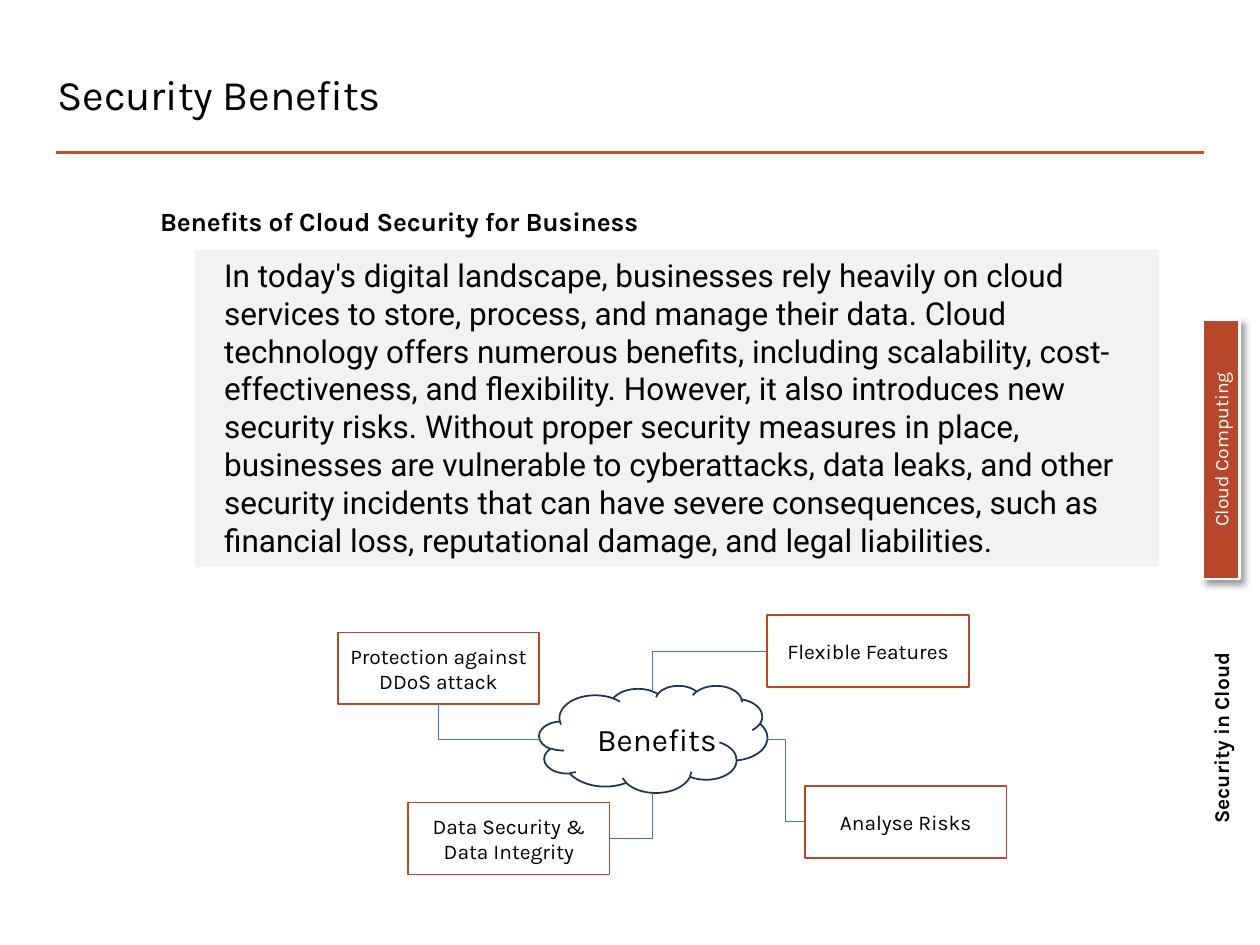
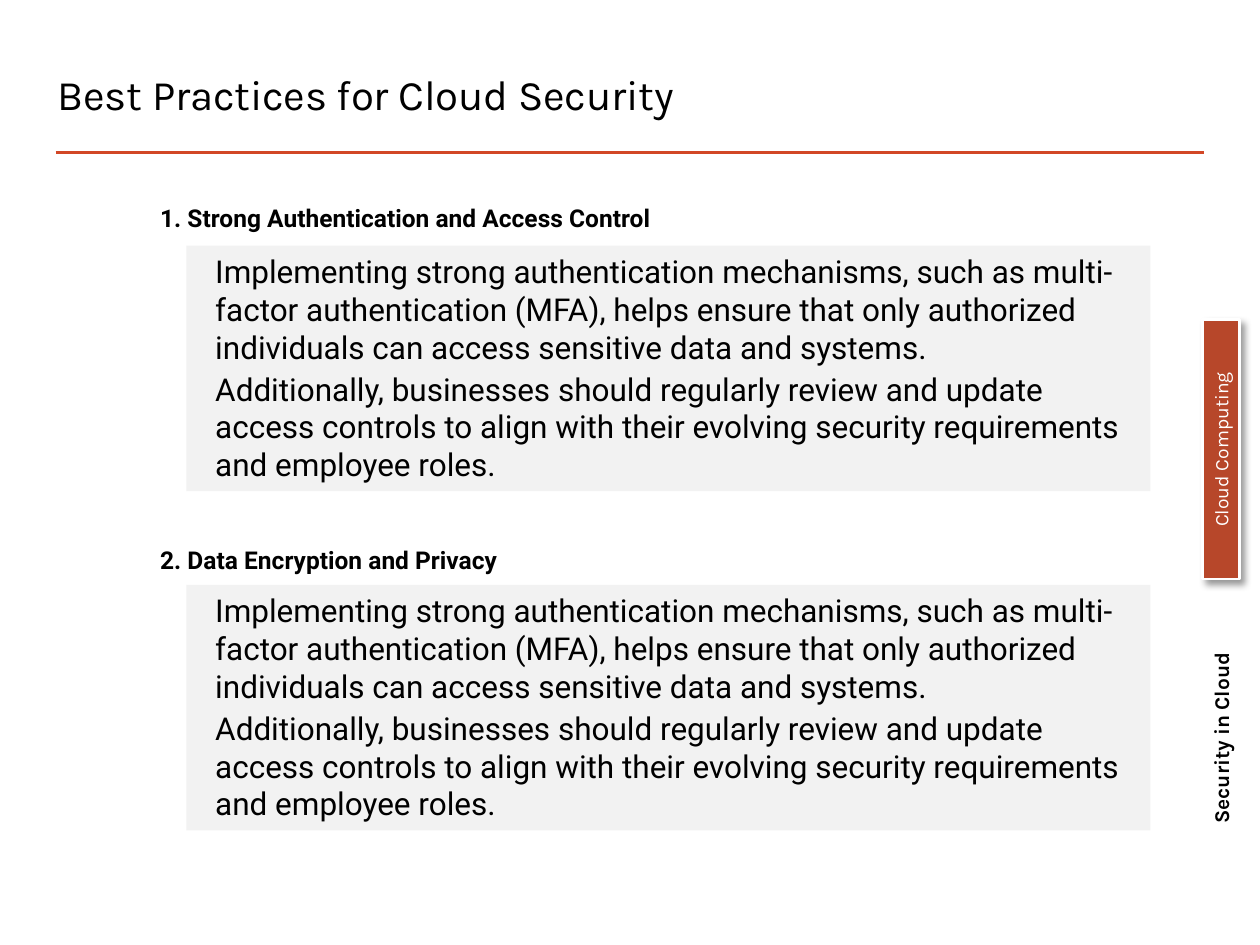
from lxml import etree
from pptx import Presentation
from pptx.dml.color import RGBColor
from pptx.enum.shapes import MSO_CONNECTOR as CONN, MSO_SHAPE as SHAPE
from pptx.enum.text import MSO_ANCHOR as ANCHOR, PP_ALIGN as ALIGN
from pptx.oxml import parse_xml
from pptx.oxml.ns import nsdecls, qn
from pptx.util import Cm, Pt

BLACK, WHITE, PANEL = "000000", "FFFFFF", "F2F2F2"
RULE, BRICK, NAVY, BLUE = "D24726", "B7472A", "1E3256", "4472C4"
HEADING_FONT, BODY_FONT = "Karla", "Roboto"

RISKS = (
    "In today's digital landscape, businesses rely heavily on cloud services to store, "
    "process, and manage their data. Cloud technology offers numerous benefits, including "
    "scalability, cost-effectiveness, and flexibility. However, it also introduces new "
    "security risks. Without proper security measures in place, businesses are vulnerable "
    "to cyberattacks, data leaks, and other security incidents that can have severe "
    "consequences, such as financial loss, reputational damage, and legal liabilities."
)
ACCESS = (
    "Implementing strong authentication mechanisms, such as multi-factor authentication "
    "(MFA), helps ensure that only authorized individuals can access sensitive data and "
    "systems.",
    "Additionally, businesses should regularly review and update access controls to align "
    "with their evolving security requirements and employee roles.",
)


def rgb(color):
    return RGBColor.from_string(color)


def write(sp, *texts, size=18, font=HEADING_FONT, color=BLACK, bold=False,
          align=ALIGN.LEFT, anchor=ANCHOR.TOP, before=0, after=0, leading=None,
          indent=0, tracking=0, inset=(0.25, 0.13)):
    tf = sp.text_frame
    tf.word_wrap = True
    tf.vertical_anchor = anchor
    tf.margin_left = tf.margin_right = Cm(inset[0])
    tf.margin_top = tf.margin_bottom = Cm(inset[1])
    for i, text in enumerate(texts):
        p = tf.add_paragraph() if i else tf.paragraphs[0]
        p.alignment = align
        p.space_before, p.space_after = Pt(before), Pt(after)
        if leading:
            p.line_spacing = Pt(leading)
        if indent:
            p._p.get_or_add_pPr().set("marL", str(Cm(indent)))
        r = p.add_run()
        r.text = text
        r.font.name, r.font.size, r.font.bold = font, Pt(size), bold
        r.font.color.rgb = rgb(color)
        if tracking:
            r._r.get_or_add_rPr().set("spc", str(round(tracking * 100)))


def add_text(s, x, y, w, h, text, **fmt):
    sp = s.shapes.add_textbox(Cm(x), Cm(y), Cm(w), Cm(h))
    write(sp, text, **fmt)
    return sp


def add_box(s, x, y, w, h, fill=None, line=None, weight=1, kind=SHAPE.RECTANGLE):
    sp = s.shapes.add_shape(kind, Cm(x), Cm(y), Cm(w), Cm(h))
    sp.shadow.inherit = False
    if fill:
        sp.fill.solid()
        sp.fill.fore_color.rgb = rgb(fill)
    else:
        sp.fill.background()
    if line:
        sp.line.color.rgb = rgb(line)
        sp.line.width = Pt(weight)
    else:
        sp.line.fill.background()
    return sp


def add_line(s, start, end, color, weight, kind=CONN.STRAIGHT, preset=None):
    c = s.shapes.add_connector(kind, *(Cm(v) for v in start + end))
    c.line.color.rgb = rgb(color)
    c.line.width = Pt(weight)
    props = c._element.spPr
    if preset:
        props.find(qn("a:prstGeom")).set("prst", preset)
    etree.SubElement(props, qn("a:effectLst"))


def add_shadow(sp):
    props = sp._element.spPr
    props.remove(props.find(qn("a:effectLst")))
    props.append(parse_xml(
        f'<a:effectLst {nsdecls("a")}><a:outerShdw blurRad="{Pt(4)}" dist="{Pt(3)}" '
        f'dir="2700000" algn="tl" rotWithShape="0"><a:srgbClr val="{BLACK}">'
        '<a:alpha val="40000"/></a:srgbClr></a:outerShdw></a:effectLst>'))


def add_heading(s, y, text, **fmt):
    add_text(s, 3.05, y, 11.56, 1.02, text, bold=True, before=10, after=15,
             leading=18, inset=(0.18, 0.1), **fmt)


def add_panel(s, x, y, h, *texts):
    sp = add_box(s, x, y, 19.43, h, fill=PANEL)
    write(sp, *texts, font=BODY_FONT, before=2.4, indent=0.33)


def add_benefit(s, x, y, text):
    sp = add_box(s, x, y, 4.06, 1.45, fill=WHITE, line=BRICK)
    write(sp, text, size=12, align=ALIGN.CENTER, anchor=ANCHOR.MIDDLE)


def add_side_labels(s):
    topic = add_text(s, 20.4, 12.27, 8.41, 0.76, "Security in Cloud", size=12, bold=True)
    course = add_box(s, 22, 8.69, 5.23, 0.74, fill=BRICK, line=WHITE, weight=1.5)
    write(course, "Cloud Computing", size=11, color=WHITE, align=ALIGN.CENTER)
    add_shadow(course)
    topic.rotation = course.rotation = 270


def new_slide(prs, title):
    s = prs.slides.add_slide(prs.slide_layouts[6])
    add_line(s, (1.12, 3.07), (24.28, 3.07), RULE, 2)
    add_text(s, 0.91, 1.19, 14.58, 1.78, title, size=24, tracking=-0.1, inset=(0.25, 0.2))
    add_side_labels(s)
    return s


def add_benefits_map(s):
    add_box(s, 10.87, 13.82, 4.6, 2.16, line=NAVY, kind=SHAPE.CLOUD)
    add_text(s, 11.79, 14.38, 3.63, 1.02, "Benefits")
    for x, y, text in (
        (6.81, 12.75, "Protection against DDoS attack"),
        (8.23, 16.18, "Data Security & Data Integrity"),
        (15.47, 12.4, "Flexible Features"),
        (16.23, 15.85, "Analyse Risks"),
    ):
        add_benefit(s, x, y, text)
    for start, end, preset in (
        ((15.47, 13.13), (13.16, 13.97), "bentConnector2"),
        ((10.9, 14.91), (8.84, 14.2), "bentConnector2"),
        ((12.29, 16.91), (13.16, 16), "bentConnector2"),
        ((15.44, 14.91), (16.23, 16.57), "bentConnector3"),
    ):
        add_line(s, start, end, BLUE, 0.5, CONN.ELBOW, preset)


def main():
    prs = Presentation()
    prs.slide_width, prs.slide_height = Cm(25.4), Cm(19.05)

    s = new_slide(prs, "Security Benefits")
    add_heading(s, 4.04, "Benefits of Cloud Security for Business", size=15, tracking=-0.1)
    add_panel(s, 3.94, 5.03, 6.4, RISKS)
    add_benefits_map(s)

    s = new_slide(prs, "Best Practices for Cloud Security")
    for heading_y, panel_y, heading in (
        (3.96, 4.95, "1. Strong Authentication and Access Control"),
        (10.85, 11.79, "2. Data Encryption and Privacy"),
    ):
        add_heading(s, heading_y, heading, size=14, font=BODY_FONT)
        add_panel(s, 3.76, panel_y, 4.95, *ACCESS)

    prs.save("out.pptx")


if __name__ == "__main__":
    main()
